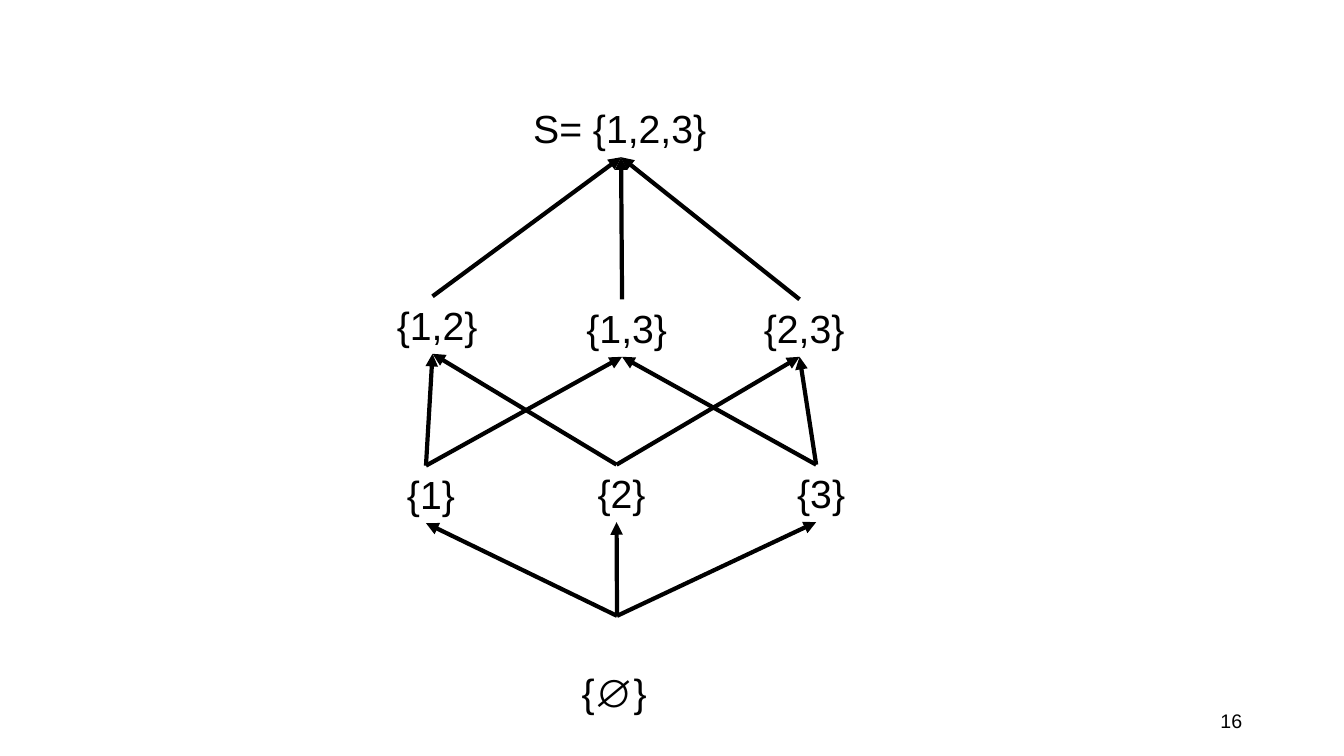
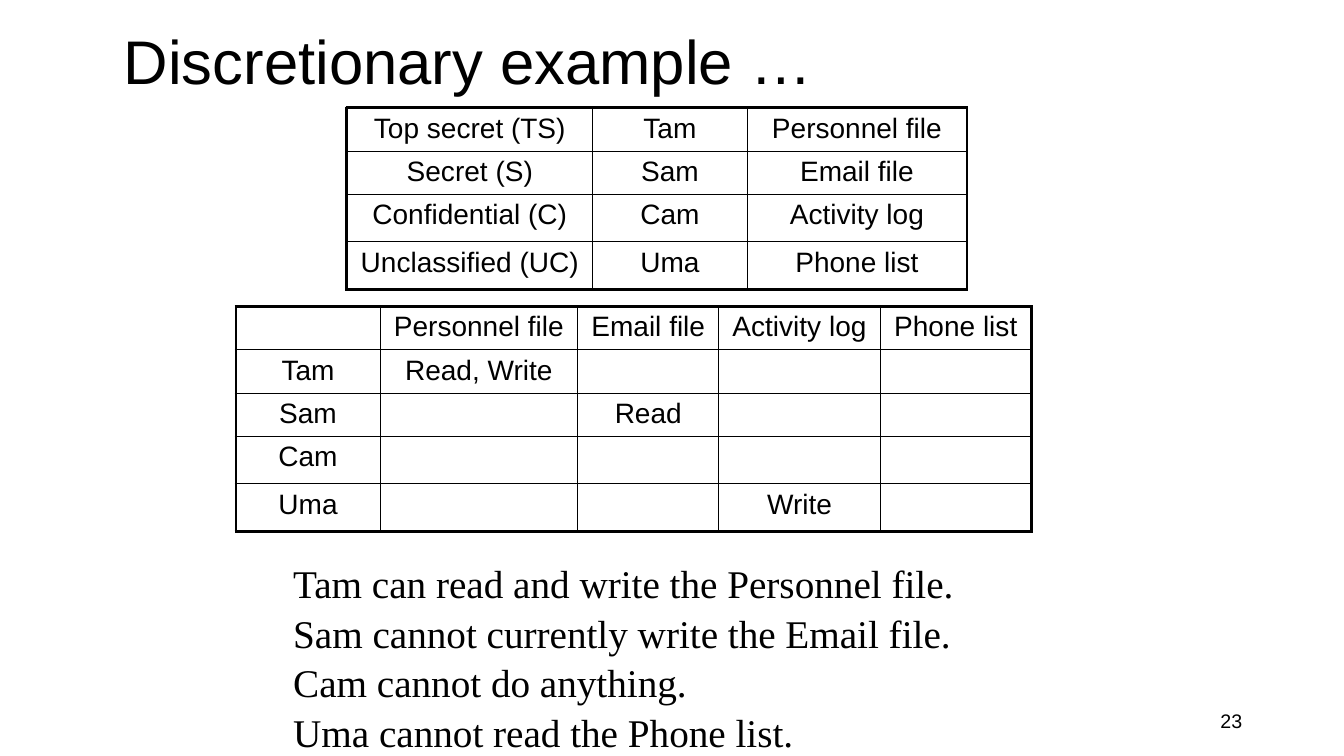
import pptx
import pptx.dml.color
import pptx.enum.shapes
import pptx.enum.text
import pptx.oxml.xmlchemy
import pptx.util

PX = 9144  # 100 px to the inch
COLORS = {"ink": "000000", "paper": "FFFFFF"}
SANS, SERIF = "Arial", "Times New Roman"
INK = pptx.dml.color.RGBColor.from_string(COLORS["ink"])
PAPER = pptx.dml.color.RGBColor.from_string(COLORS["paper"])
ALIGN = pptx.enum.text.PP_ALIGN
ANCHOR = pptx.enum.text.MSO_ANCHOR
FIT = pptx.enum.text.MSO_AUTO_SIZE
new_element = pptx.oxml.xmlchemy.OxmlElement


def write(paragraph, text, size, font=SANS, align=ALIGN.LEFT):
    paragraph.alignment = align
    run = paragraph.add_run()
    run.text = text
    run.font.size = pptx.util.Pt(size)
    run.font.name = font
    run.font.color.rgb = INK


def add_text(slide, box, lines, size, font=SANS, align=ALIGN.LEFT,
             anchor=ANCHOR.TOP, wrap=True, fit=FIT.NONE, spacing=None):
    """Add a text box with one paragraph per line."""
    label = slide.shapes.add_textbox(*(n * PX for n in box))
    frame = label.text_frame
    frame.word_wrap = wrap
    frame.auto_size = fit
    frame.vertical_anchor = anchor
    for i, line in enumerate(lines):
        paragraph = frame.add_paragraph() if i else frame.paragraphs[0]
        paragraph.line_spacing = spacing
        write(paragraph, line, size, font, align)
    return label


deck = pptx.Presentation()
deck.slide_width, deck.slide_height = 1333 * PX, 750 * PX
slides = []
for number in ("16", "23"):
    slide = deck.slides.add_slide(deck.slide_layouts[6])
    slide.background.fill.solid()
    slide.background.fill.fore_color.rgb = PAPER
    add_text(slide, (942, 695, 300, 40), [number], 14, align=ALIGN.RIGHT, anchor=ANCHOR.MIDDLE)
    slides.append(slide)
lattice_slide, access_slide = slides

# Subset lattice: key -> (text, left, top, width)
SUBSETS = {
    "0": (" {∅}", 567, 611, 90),
    "1": (" {1}", 383, 462, 79),
    "2": (" {2}", 572, 461, 79),
    "3": (" {3}", 770, 461, 79),
    "12": (" {1,2}", 373, 294, 112),
    "13": (" {1,3}", 561, 297, 112),
    "23": (" {2,3}", 737, 297, 112),
    "123": ("S= {1,2,3}", 519, 99, 194),
}
INCLUSIONS = [
    ("0", "2"), ("0", "3"), ("0", "1"),
    ("1", "12"), ("1", "13"), ("2", "12"), ("2", "23"), ("3", "13"), ("3", "23"),
    ("12", "123"), ("13", "123"), ("23", "123"),
]
nodes = {
    key: add_text(lattice_slide, (left, top, width, 57), [text], 28,
                  wrap=False, fit=FIT.SHAPE_TO_FIT_TEXT)
    for key, (text, left, top, width) in SUBSETS.items()
}
for subset, superset in INCLUSIONS:
    arrow = lattice_slide.shapes.add_connector(
        pptx.enum.shapes.MSO_CONNECTOR.STRAIGHT, 0, 0, 0, 0)
    arrow.begin_connect(nodes[subset], 0)
    arrow.end_connect(nodes[superset], 2)
    arrow.line.color.rgb = INK
    arrow.line.width = pptx.util.Pt(3)
    tail = new_element("a:tailEnd")
    tail.set("type", "triangle")
    arrow.line._get_or_add_ln().append(tail)
    arrow._element.spPr.append(new_element("a:effectLst"))

# Discretionary access example
add_text(access_slide, (113, 21, 850, 87), ["Discretionary example …"], 44,
         anchor=ANCHOR.MIDDLE, spacing=0.9)

CLEARANCES = [
    ["Top secret (TS)", "Tam", "Personnel file"],
    ["Secret (S)", "Sam", "Email file"],
    ["Confidential (C)", "Cam", "Activity log"],
    ["Unclassified (UC)", "Uma", "Phone list"],
]
PERMISSIONS = [
    ["", "Personnel file", "Email file", "Activity log", "Phone list"],
    ["Tam", "Read, Write", "", "", ""],
    ["Sam", "", "Read", "", ""],
    ["Cam", "", "", "", ""],
    ["Uma", "", "", "Write", ""],
]
for left, top, widths, heights, rows in (
    (344, 107, (244, 153, 218), (43, 43, 47, 47), CLEARANCES),
    (234, 304, (143, 196, 140, 160, 150), (43, 43, 43, 47, 47), PERMISSIONS),
):
    grid = access_slide.shapes.add_table(
        len(rows), len(widths), left * PX, top * PX, sum(widths) * PX, sum(heights) * PX).table
    grid.first_row = grid.horz_banding = False
    for column, width in zip(grid.columns, widths):
        column.width = width * PX
    for r, (row, height) in enumerate(zip(rows, heights)):
        grid.rows[r].height = height * PX
        for c, text in enumerate(row):
            cell = grid.cell(r, c)
            if text:
                write(cell.text_frame.paragraphs[0], text, 20, align=ALIGN.CENTER)
            outer_edges = {
                "a:lnL": c == 0, "a:lnR": c == len(widths) - 1,
                "a:lnT": r == 0, "a:lnB": r == len(rows) - 1,
            }
            properties = cell._tc.get_or_add_tcPr()
            for edge, is_outer in outer_edges.items():
                border = new_element(edge)
                border.set("w", str(int(pptx.util.Pt(2.25 if is_outer else 1))))
                fill = new_element("a:solidFill")
                color = new_element("a:srgbClr")
                color.set("val", COLORS["ink"])
                fill.append(color)
                border.append(fill)
                properties.append(border)
            cell.fill.background()

add_text(access_slide, (281, 548, 733, 199), [
    "Tam can read and write the Personnel file.",
    "Sam cannot currently write the Email file.",
    "Cam cannot do anything.",
    "Uma cannot read the Phone list.",
], 28, SERIF, fit=FIT.SHAPE_TO_FIT_TEXT, spacing=1.05)

deck.save("out.pptx")
